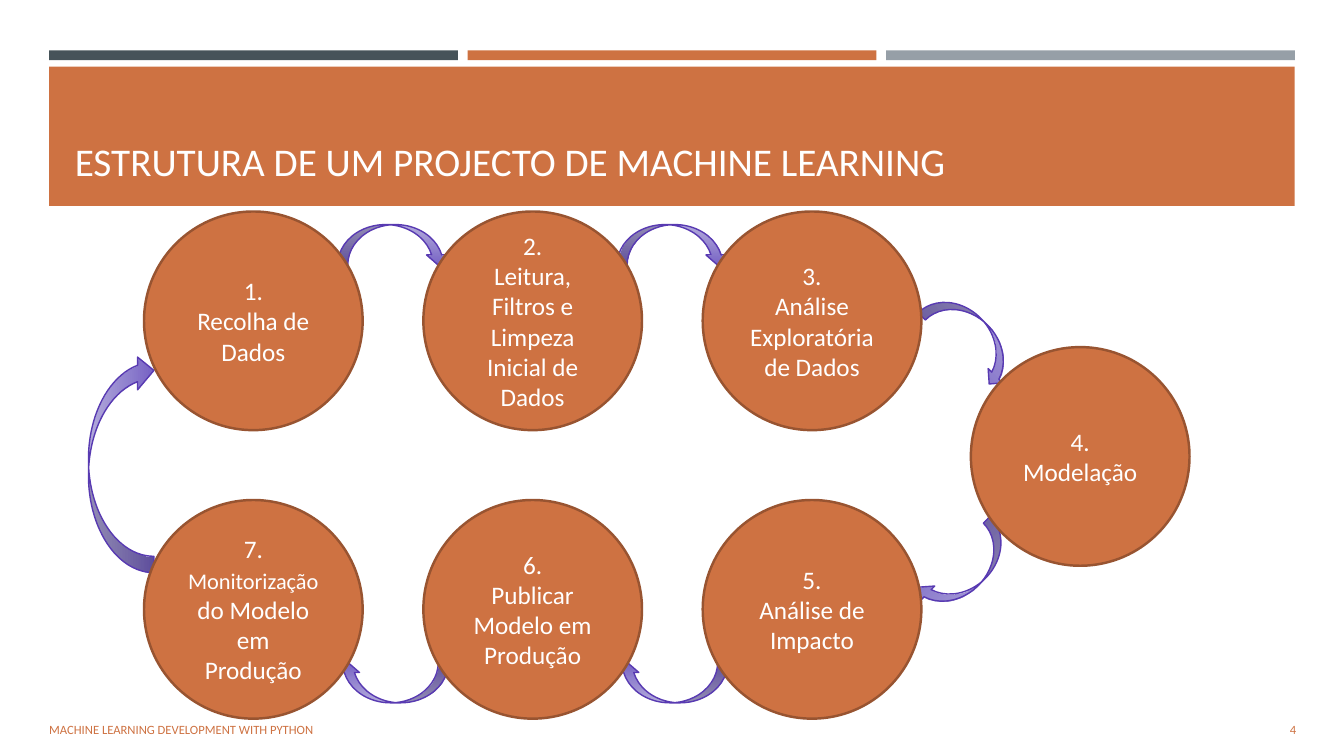
from lxml.etree import SubElement
from pptx import Presentation
from pptx.dml.color import RGBColor
from pptx.enum.shapes import MSO_SHAPE as Preset
from pptx.enum.text import MSO_ANCHOR as Anchor, MSO_AUTO_SIZE as AutoSize, PP_ALIGN as Align
from pptx.oxml.ns import qn
from pptx.util import Cm, Pt

COLORS = {
    "slate": "465359", "orange": "CE7242", "gray": "969FA7", "rust": "985431",
    "lilac": "ABA2D8", "purple": "7662C5", "violet": "583AB2", "white": "FFFFFF",
}
FONT = "Calibri"
DIAMETER = 5.51
COLUMN_PITCH, ROW_PITCH = 7.04, 7.27
ARROW_WIDTH, ARROW_HEIGHT = 2.79, 1.02

# Column and row of each step in the cycle, then its text runs with sizes
STEPS = [
    (0, 0, [("Recolha de Dados", 18)]),
    (1, 0, [("Leitura, Filtros e Limpeza Inicial de Dados", 18)]),
    (2, 0, [("Análise Exploratória de Dados", 18)]),
    (2.96, 0.47, [("Modelação", 18)]),
    (2, 1, [("Análise de Impacto", 18)]),
    (1, 1, [("Publicar Modelo em Produção", 18)]),
    (0, 1, [("Monitorização", 16), (" do Modelo em Produção", 18)]),
]


def color(name):
    return RGBColor.from_string(COLORS[name])


def add_run(paragraph, text, size, color_name):
    run = paragraph.add_run()
    run.text = text
    run.font.name, run.font.size = FONT, Pt(size)
    run.font.color.rgb = color(color_name)


def add_plain_shape(slide, preset, box, fill=None):
    """Add a shape without shadow or outline; box is left, top, width, height in cm."""
    shape = slide.shapes.add_shape(preset, *map(Cm, box))
    shape.shadow.inherit = False
    shape.line.fill.background()
    if fill:
        shape.fill.solid()
        shape.fill.fore_color.rgb = color(fill)
    return shape


def add_header(slide, left, top, width):
    gap = 0.25
    bar_width = (width - 2 * gap) / 3
    for index, name in enumerate(("slate", "orange", "gray")):
        bar_left = left + index * (bar_width + gap)
        add_plain_shape(slide, Preset.RECTANGLE, (bar_left, top, bar_width, 0.25), name)
    add_plain_shape(slide, Preset.RECTANGLE, (left, top + 0.41, width, 3.51), "orange")

    title = slide.shapes.title
    title.left, title.top = Cm(left + 0.39), Cm(top + 0.76)
    title.width, title.height = Cm(width - 0.76), Cm(2.74)
    frame = title.text_frame
    frame.auto_size, frame.vertical_anchor = AutoSize.NONE, Anchor.BOTTOM
    paragraph = frame.paragraphs[0]
    paragraph.alignment = Align.LEFT
    add_run(paragraph, "ESTRUTURA DE UM PROJECTO DE MACHINE LEARNING", 28, "white")
    # Bring the title in front of its band
    title.element.getparent().append(title.element)


def add_arrow(slide, left, top, rotation=0, width=ARROW_WIDTH, height=ARROW_HEIGHT):
    arrow = add_plain_shape(slide, Preset.CURVED_DOWN_ARROW, (left, top, width, height))
    arrow.rotation = rotation
    arrow.fill.gradient()
    arrow.fill.gradient_angle = 270
    for stop, name in zip(arrow.fill.gradient_stops, ("lilac", "purple")):
        stop.color.rgb = color(name)
    first_color = next(arrow.element.iter(qn("a:srgbClr")))
    SubElement(first_color, qn("a:alpha"), val="90000")
    arrow.line.color.rgb = color("violet")
    arrow.line.width = Pt(1)


def add_step(slide, left, top, number, runs):
    circle = add_plain_shape(slide, Preset.OVAL, (left, top, DIAMETER, DIAMETER), "orange")
    circle.line.color.rgb = color("rust")
    circle.line.width = Pt(1.75)
    frame = circle.text_frame
    frame.word_wrap, frame.vertical_anchor = True, Anchor.MIDDLE
    heading, label = frame.paragraphs[0], frame.add_paragraph()
    heading.alignment = label.alignment = Align.CENTER
    add_run(heading, f"{number}.", 18, "white")
    for text, size in runs:
        add_run(label, text, size, "white")


def add_cycle(slide, left, top):
    add_arrow(slide, left - 3.33, top + 5.52, 270, DIAMETER, 1.65)
    add_arrow(slide, left + 19.31, top + 8.51, 135)
    add_arrow(slide, left + 19.46, top + 2.67, 45)
    for column in range(2):
        arrow_left = left + 4.88 + column * COLUMN_PITCH
        add_arrow(slide, arrow_left, top + 0.33)
        add_arrow(slide, arrow_left, top + ROW_PITCH + 4.09, 180)
    for number, (column, row, runs) in enumerate(STEPS, start=1):
        add_step(slide, left + column * COLUMN_PITCH, top + row * ROW_PITCH, number, runs)


def add_footer(slide, left, top, width):
    number_width = 2.92
    parts = [
        (left, 18.95, "MACHINE LEARNING DEVELOPMENT WITH PYTHON", Align.LEFT),
        (left + width - number_width, number_width, "4", Align.RIGHT),
    ]
    for part_left, part_width, text, alignment in parts:
        box = slide.shapes.add_textbox(Cm(part_left), Cm(top), Cm(part_width), Cm(1.02))
        frame = box.text_frame
        frame.word_wrap, frame.vertical_anchor = True, Anchor.MIDDLE
        paragraph = frame.paragraphs[0]
        paragraph.alignment = alignment
        add_run(paragraph, text, 9, "orange")


def main():
    presentation = Presentation()
    presentation.slide_width, presentation.slide_height = Cm(33.87), Cm(19.05)
    slide = presentation.slides.add_slide(presentation.slide_layouts[5])
    add_header(slide, 1.24, 1.27, 31.39)
    add_footer(slide, 0.99, 17.86, 31.93)
    add_cycle(slide, 3.63, 5.33)
    presentation.save("out.pptx")


if __name__ == "__main__":
    main()
